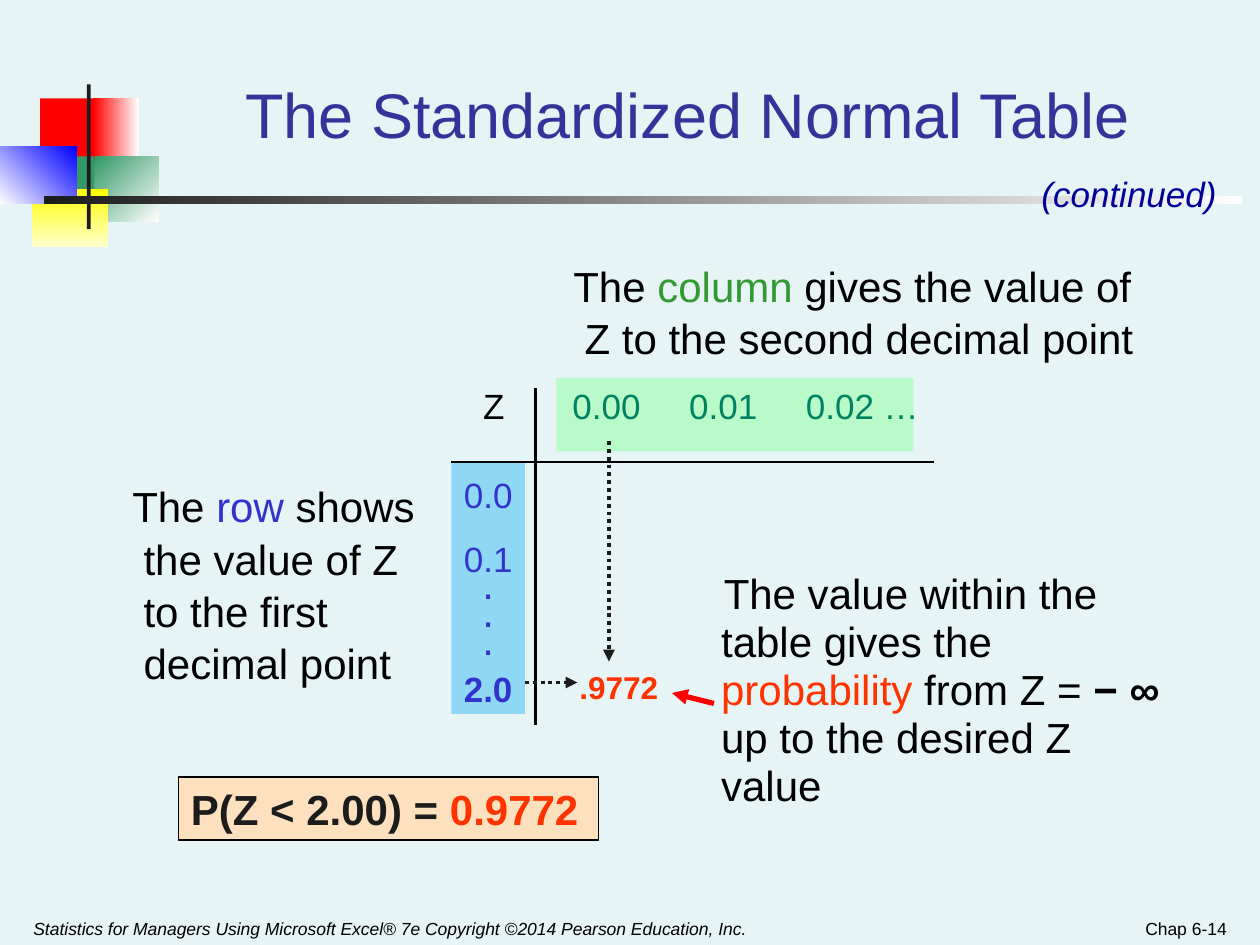
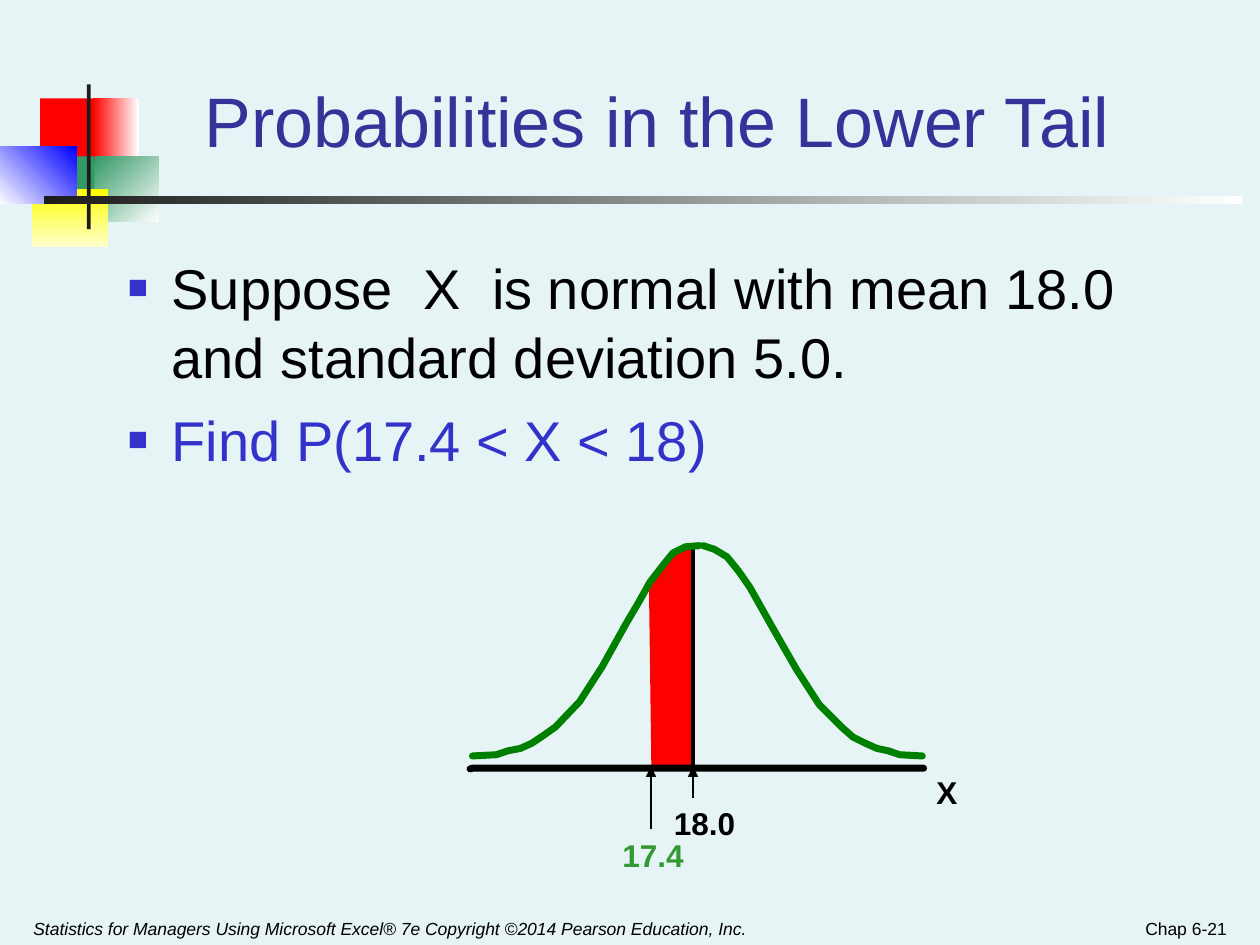
import pptx
import pptx.util
import pptx.dml.color
import pptx.enum.dml
import pptx.enum.shapes
import pptx.enum.text
import pptx.oxml
import pptx.oxml.ns
from lxml import etree

Pt = pptx.util.Pt
RGB = pptx.dml.color.RGBColor.from_string
ALIGN = pptx.enum.text.PP_ALIGN
ANCHOR = pptx.enum.text.MSO_ANCHOR
RECT = pptx.enum.shapes.MSO_SHAPE.RECTANGLE
DOTS = pptx.enum.dml.MSO_LINE.ROUND_DOT
qn = pptx.oxml.ns.qn

FONT = "Arial"
HEX = {
    "page": "E7F4F5", "title": "333399", "black": "000000", "ink": "1C1C1C",
    "white": "FFFFFF", "red": "FF0000", "green": "339966", "yellow": "FFFF00",
    "cream": "FFFFCC", "blue": "0000FF", "mint": "B8FAC8", "sky": "8ED8F6",
    "peach": "FDE0BD", "orange": "FF3300", "row": "3333CC", "column": "339933",
    "teal": "008260", "navy": "000099", "curve": "008000",
}


def text(slide, box, paras, size, color="black", bold=False, italic=False,
         align=ALIGN.LEFT, anchor=ANCHOR.TOP, gap=0, lead=None,
         margin=0, indent=0, bullet=None):
    """Add a text box; a paragraph is a string or a list of (words, color, bold)."""
    shape = slide.shapes.add_textbox(*map(Pt, box))
    frame = shape.text_frame
    frame.word_wrap = True
    frame.vertical_anchor = anchor
    for n, words in enumerate(paras):
        para = frame.paragraphs[0] if n == 0 else frame.add_paragraph()
        para.alignment = align
        if n and gap:
            para.space_before = Pt(gap)
        if lead:
            para.line_spacing = lead
        props = para._p.get_or_add_pPr()
        if margin:
            props.set("marL", str(Pt(margin)))
            props.set("indent", str(Pt(indent)))
        if bullet:
            tint = etree.SubElement(props, qn("a:buClr"))
            etree.SubElement(tint, qn("a:srgbClr"), val=HEX["row"])
            etree.SubElement(props, qn("a:buSzPct"), val="60000")
            etree.SubElement(props, qn("a:buFont"), typeface=FONT)
            etree.SubElement(props, qn("a:buChar"), char=bullet)
        para.font.name = FONT
        para.font.size = Pt(size)
        para.font.italic = italic
        parts = [(words, color, bold)] if isinstance(words, str) else words
        if len(parts) == 1:
            para.font.bold = parts[0][2]
            para.font.color.rgb = RGB(HEX[parts[0][1]])
        for part, tone, heavy in parts:
            run = para.add_run()
            run.text = part
            if len(parts) > 1:
                run.font.bold = heavy
                run.font.color.rgb = RGB(HEX[tone])
    return shape


def line(slide, ends, color, width, arrow=False, dash=None):
    """Add a straight line from (x, y) to (x, y), with an arrowhead if asked."""
    link = slide.shapes.add_connector(
        pptx.enum.shapes.MSO_CONNECTOR.STRAIGHT, *map(Pt, ends))
    link.line.color.rgb = RGB(HEX[color])
    link.line.width = Pt(width)
    if dash:
        link.line.dash_style = dash
    if arrow:
        etree.SubElement(link.line._get_or_add_ln(), qn("a:tailEnd"), type="triangle")
    etree.SubElement(link._element.spPr, qn("a:effectLst"))


# Corner blocks and rule: box, colours, clockwise gradient angle
decor = [
    ((23, 56.2, 34.6, 37.4), ["red"], 0),
    ((53.3, 56.2, 25.9, 37.4), ["red", "white"], 0),
    ((54, 89.3, 36.7, 37.4), ["green", "white"], 45),
    ((31, 89.3, 23, 37.4), ["green"], 0),
    ((18, 108, 43.9, 33.1), ["yellow", "cream"], 90),
    ((0, 83.5, 43.9, 33.1), ["white", "blue"], 315),
    ((49.7, 48.2, 2.2, 82.8), ["ink"], 0),
    ((25.2, 112.3, 684.7, 4.3), ["ink", "white"], 0),
]
bands = [
    ((318, 216, 204, 42), ["mint"], 0),
    ((258, 264, 42, 144), ["sky"], 0),
]
pages = [
    ("The Standardized Normal Table", (114, 24, 558, 66), 36, "Chap 6-14", bands),
    ("Probabilities in the Lower Tail", (85, 18, 581, 78), 40, "Chap 6-21", []),
]

prs = pptx.Presentation()
prs.slide_width = Pt(720)
prs.slide_height = Pt(540)

for title, box, size, number, extra in pages:
    slide = prs.slides.add_slide(prs.slide_layouts[6])
    slide.background.fill.solid()
    slide.background.fill.fore_color.rgb = RGB(HEX["page"])
    for place, tones, angle in decor + extra:
        block = slide.shapes.add_shape(RECT, *map(Pt, place))
        block.shadow.inherit = False
        block.line.fill.background()
        if len(tones) == 1:
            block.fill.solid()
            block.fill.fore_color.rgb = RGB(HEX[tones[0]])
        else:
            block.fill.gradient()
            block.fill.gradient_angle = (360 - angle) % 360
            for stop, tone in zip(block.fill.gradient_stops, tones):
                stop.color.rgb = RGB(HEX[tone])
    text(slide, (12, 515, 444, 25),
         ["Statistics for Managers Using Microsoft Excel® 7e Copyright ©2014 Pearson Education, Inc."],
         10, italic=True, anchor=ANCHOR.BOTTOM)
    text(slide, (540, 515, 168, 25), [number], 10,
         align=ALIGN.RIGHT, anchor=ANCHOR.BOTTOM)
    text(slide, box, [title], size, "title", align=ALIGN.CENTER, anchor=ANCHOR.BOTTOM)

lookup, tail = prs.slides

# Slide 1: how to read the table
text(lookup, (588, 95, 120, 32), ["(continued)"], 20, "navy", italic=True)
text(lookup, (282, 144, 378, 78),
     [[("The ", "black", False), ("column ", "column", False),
       ("gives the value of Z to the second decimal point", "black", False)]],
     24, lead=1.04, margin=45, indent=-6.5)
text(lookup, (30, 270, 222, 132),
     [[("The ", "black", False), ("row ", "row", False),
       ("shows the value of Z to the first decimal point", "black", False)]],
     24, lead=1.04, margin=45, indent=-6.5)
text(lookup, (360, 323, 318, 156),
     [[("The value within the table gives the ", "black", False),
       ("probability ", "orange", False), ("from Z = ", "black", False),
       ("− ∞", "black", True), (" up to the desired Z value", "black", False)]],
     24, lead=0.95, margin=45, indent=1.5)

text(lookup, (269, 216, 40, 32), ["Z"], 20)
for n, head in enumerate(["0.00", "0.01", "0.02 …"]):
    text(lookup, (320 + 66.7 * n, 216, 90, 32), [head], 20, "teal")
text(lookup, (258, 267, 60, 66), ["0.0", "0.1"], 20, "row", gap=12.5)
text(lookup, (264, 330, 30, 51), ["."] * 3, 24, "row",
     align=ALIGN.CENTER, gap=4.5, lead=0.4)
text(lookup, (246, 378, 66, 32), ["2.0"], 20, "row", bold=True, align=ALIGN.CENTER)
text(lookup, (324, 378, 78, 29), [".9772"], 18, "orange", bold=True)

line(lookup, (306, 222, 306, 414), "black", 1.5)
line(lookup, (258, 264, 534, 264), "black", 1.5)
line(lookup, (348, 252, 348, 378), "ink", 2.25, True, DOTS)
line(lookup, (300, 390, 330, 390), "ink", 2.25, True, DOTS)
line(lookup, (408, 402, 384, 396), "red", 3, True)

answer = text(lookup, (102, 444, 240, 36),
              [[("P(Z < 2.00) =", "ink", True), (" 0.9772", "orange", True)]],
              24, anchor=ANCHOR.MIDDLE)
answer.fill.solid()
answer.fill.fore_color.rgb = RGB(HEX["peach"])
answer.line.color.rgb = RGB(HEX["black"])
answer.line.width = Pt(0.75)

# Slide 2: area under the curve between 17.4 and 18
text(tail, (66, 140, 636, 130),
     ["Suppose  X  is normal with mean 18.0 and standard deviation 5.0.",
      [("Find P(17.4 < X < 18)", "row", False)]],
     32, gap=8, lead=1.03, margin=25, indent=-25, bullet="■")

area = [(372.2, 437.8), (370.8, 332.6), (374.4, 327.6), (378.7, 321.8), (383, 317.5),
        (386.6, 314.6), (390.2, 311.8), (396, 311.8), (396, 437.8)]
right = [(527, 432), (514.1, 431.3), (507.6, 429.1), (501.1, 427.7), (494.6, 424.8),
         (487.4, 421.2), (481.7, 416.2), (468, 402.5), (455, 382.3), (441.4, 358.6),
         (434.9, 347), (428.4, 335.5), (421.9, 326.2), (415.4, 318.2), (408.2, 313.9),
         (401.8, 311.8)]
left = [(270, 432), (283.7, 431.3), (290.2, 429.1), (297.4, 427.7), (303.8, 424.8),
        (310.3, 420.5), (317.5, 415.4), (331.2, 401), (344.2, 380.9), (357.8, 356.4),
        (365, 344.2), (371.5, 332.6), (378.7, 323.3), (384.5, 316.1), (391.7, 312.5),
        (399.6, 311.8)]
axis = [(268.6, 439.4), (270, 439), (527.8, 439)]

for points, fill, stroke in [(area, "red", None), (right, None, "curve"),
                             (left, None, "curve"), (axis, None, "black")]:
    if points is right:
        line(tail, (396, 311.8, 396, 437.8), "black", 2.5)
    spots = [(Pt(x), Pt(y)) for x, y in points]
    path = tail.shapes.build_freeform(*spots[0])
    path.add_line_segments(spots[1:], close=bool(fill))
    shape = path.convert_to_shape()
    shape.shadow.inherit = False
    if fill:
        shape.fill.solid()
        shape.fill.fore_color.rgb = RGB(HEX[fill])
        shape.line.fill.background()
    else:
        shape.fill.background()
        shape.line.color.rgb = RGB(HEX[stroke])
        shape.line.width = Pt(4)
        shape.line._get_or_add_ln().set("cap", "rnd")

for label, x, y, color in [("X", 528, 438, "black"), ("17.4", 348.5, 474, "column"),
                           ("18.0", 378, 456, "black")]:
    text(tail, (x, y, 60, 29), [label], 18, color, bold=True)
line(tail, (396, 456, 396, 438), "black", 1, True)
line(tail, (372, 474, 372, 438), "black", 1, True)

prs.save("out.pptx")
